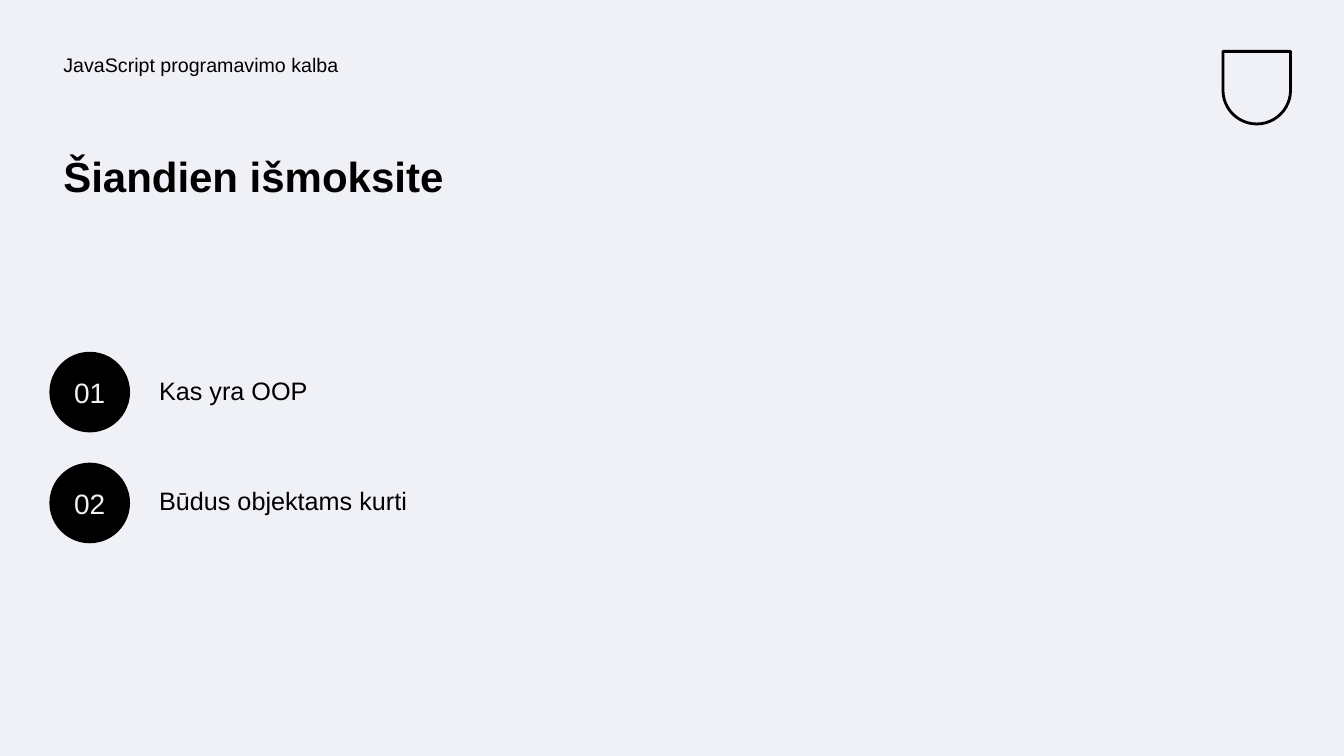
"""Build the lesson goals slide with a numbered list of topics."""
import pptx
import pptx.util
import pptx.dml.color
import pptx.enum.shapes
import pptx.enum.text

HEAD = "JavaScript programavimo kalba"
TITLE = "Šiandien išmoksite"
GOALS = ["Kas yra OOP", "Būdus objektams kurti"]

THEME = {
    "font": "Arial",
    "ink": "000000",
    "paper": "F0F1F6",
    "head": 14,
    "title": 30,
    "goal": 18,
    "count": 20,
}
WIDE, HIGH = 13.33, 7.5
LEFT, TOP = 0.53, 0.5
DISC, STEP = 0.8, 1.1
DISC_LEFT, DISC_TOP = 0.49, 3.49
GOAL_LEFT, GOAL_DROP = 1.48, 0.18
BADGE = (12.13, 0.51, 0.67, 0.72)

Inch = pptx.util.Inches
Kind = pptx.enum.shapes.MSO_SHAPE
Align = pptx.enum.text.PP_ALIGN
Anchor = pptx.enum.text.MSO_ANCHOR


def tint(name):
    return pptx.dml.color.RGBColor.from_string(THEME[name])


def write(shape, text, size, ink="ink", bold=False, space=1.0):
    frame = shape.text_frame
    frame.word_wrap = True
    frame.text = text
    line = frame.paragraphs[0]
    line.line_spacing = space
    font = line.runs[0].font
    font.name = THEME["font"]
    font.size = pptx.util.Pt(THEME[size])
    font.bold = bold
    font.color.rgb = tint(ink)
    return line


def label(slide, box, text, size, **style):
    shape = slide.shapes.add_textbox(*map(Inch, box))
    write(shape, text, size, **style)


def disc(slide, top, text):
    box = (DISC_LEFT, top, DISC, DISC)
    shape = slide.shapes.add_shape(Kind.OVAL, *map(Inch, box))
    shape.shadow.inherit = False
    shape.fill.solid()
    shape.fill.fore_color.rgb = tint("ink")
    shape.line.fill.background()
    write(shape, text, "count", ink="paper").alignment = Align.CENTER
    shape.text_frame.vertical_anchor = Anchor.MIDDLE


def badge(slide):
    shape = slide.shapes.add_shape(Kind.ROUND_2_SAME_RECTANGLE, *map(Inch, BADGE))
    shape.adjustments[0] = 0
    shape.adjustments[1] = 0.5
    shape.shadow.inherit = False
    shape.fill.background()
    shape.line.color.rgb = tint("ink")
    shape.line.width = pptx.util.Pt(2)


deck = pptx.Presentation()
deck.slide_width, deck.slide_height = Inch(WIDE), Inch(HIGH)
slide = deck.slides.add_slide(deck.slide_layouts[6])
slide.background.fill.solid()
slide.background.fill.fore_color.rgb = tint("paper")

badge(slide)
label(slide, (LEFT, TOP, 7.42, 0.5), HEAD, "head", space=0.9)
label(slide, (LEFT, TOP + 1, 5.64, 1.49), TITLE, "title", bold=True, space=0.9)
for row, goal in enumerate(GOALS):
    top = DISC_TOP + row * STEP
    disc(slide, top, f"{row + 1:02}")
    label(slide, (GOAL_LEFT, top + GOAL_DROP, 5.77, 0.45), goal, "goal")

deck.save("out.pptx")
